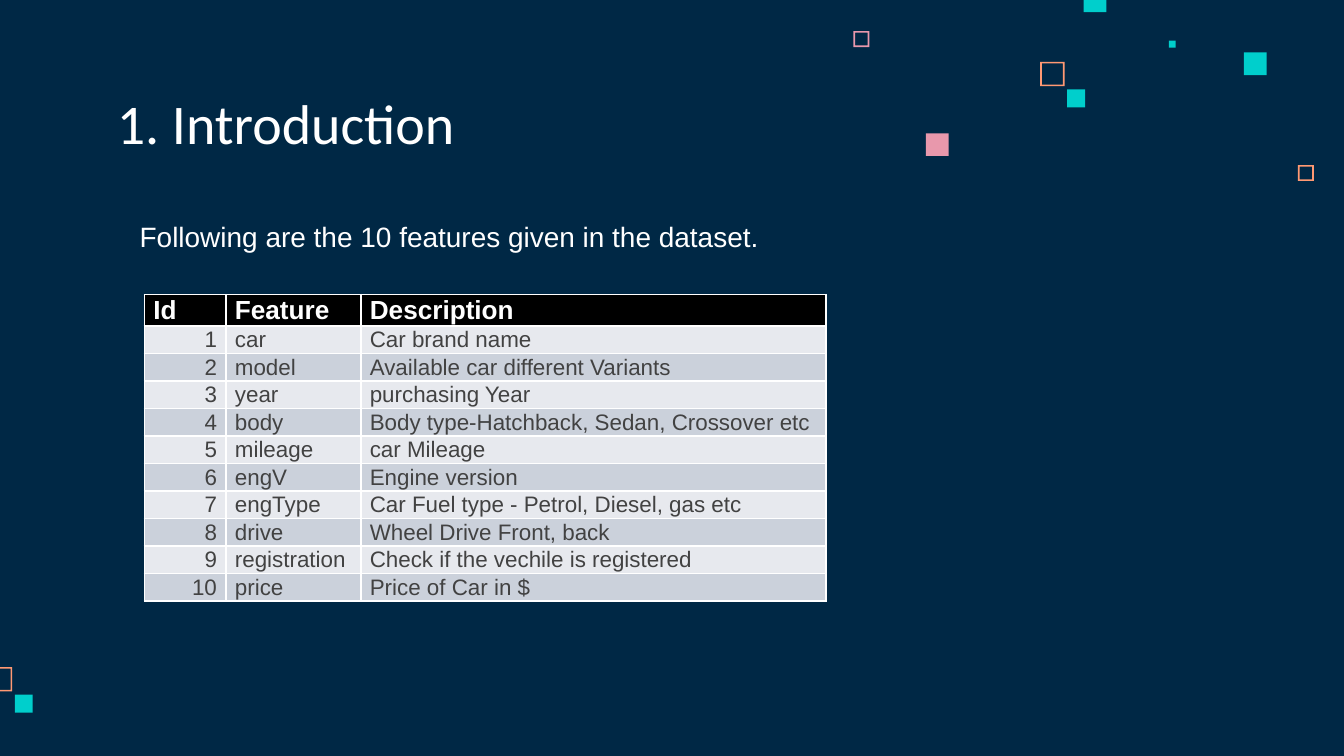
import dataclasses

import pptx
import pptx.dml.color
import pptx.enum.shapes
import pptx.enum.text
import pptx.oxml.ns
import pptx.util
from lxml import etree

Cm = pptx.util.Cm
ALIGN = pptx.enum.text.PP_ALIGN
ANCHOR = pptx.enum.text.MSO_ANCHOR


@dataclasses.dataclass(frozen=True)
class Theme:
    background: str = "002845"
    white: str = "FFFFFF"
    header: str = "000000"
    ink: str = "424242"
    bands: tuple = ("E7E9EE", "CBD1DB")
    teal: str = "00CFCC"
    pink: str = "E898AC"
    orange: str = "FF9973"
    title_font: str = "Calibri"
    body_font: str = "Arial"
    title_size: int = 30
    body_size: int = 15
    header_size: int = 14
    cell_size: int = 12
    border_width: int = 1


def rgb(color):
    return pptx.dml.color.RGBColor.from_string(color)


def paint(fill, color):
    fill.solid()
    fill.fore_color.rgb = rgb(color)


def write_text(tf, text, *, size, color, font, bold=False, align=ALIGN.LEFT):
    p = tf.paragraphs[0]
    p.alignment = align
    r = p.add_run()
    r.text = text
    r.font.size = pptx.util.Pt(size)
    r.font.name = font
    r.font.bold = bold
    r.font.color.rgb = rgb(color)


class SlideBuilder:
    def __init__(self, slide, theme):
        self.s = slide
        self.theme = theme
        paint(slide.background.fill, theme.background)

    def finish(self, sp, color):
        paint(sp.fill, color)
        sp.line.fill.background()
        sp.shadow.inherit = False

    def square(self, x, y, side, color):
        sp = self.s.shapes.add_shape(
            pptx.enum.shapes.MSO_SHAPE.RECTANGLE, Cm(x), Cm(y), Cm(side), Cm(side))
        self.finish(sp, color)

    def frame(self, x, y, side, color, thickness=0.03):
        def corners(inset):
            left, top = Cm(x + inset), Cm(y + inset)
            right, bottom = Cm(x + side - inset), Cm(y + side - inset)
            return [(left, top), (left, bottom), (right, bottom), (right, top)]

        outer, inner = corners(0), corners(thickness)[::-1]
        builder = self.s.shapes.build_freeform(*outer[0])
        builder.add_line_segments(outer[1:], close=True)
        builder.move_to(*inner[0])
        builder.add_line_segments(inner[1:], close=True)
        self.finish(builder.convert_to_shape(), color)

    def text(self, x, y, w, h, text, anchor, **style):
        sp = self.s.shapes.add_textbox(Cm(x), Cm(y), Cm(w), Cm(h))
        tf = sp.text_frame
        tf.word_wrap = True
        tf.vertical_anchor = anchor
        tf.margin_left = tf.margin_right = tf.margin_top = tf.margin_bottom = Cm(0.25)
        write_text(tf, text, color=self.theme.white, **style)

    def border(self, cell):
        tc_pr = cell._tc.get_or_add_tcPr()
        for side in ("lnL", "lnR", "lnT", "lnB"):
            ln = etree.SubElement(tc_pr, pptx.oxml.ns.qn(f"a:{side}"))
            ln.set("w", str(pptx.util.Pt(self.theme.border_width)))
            fill = etree.SubElement(ln, pptx.oxml.ns.qn("a:solidFill"))
            etree.SubElement(fill, pptx.oxml.ns.qn("a:srgbClr")).set("val", self.theme.white)

    def table(self, x, y, widths, header_height, row_height, rows):
        theme = self.theme
        heights = [header_height] + [row_height] * (len(rows) - 1)
        table = self.s.shapes.add_table(
            len(rows), len(widths), Cm(x), Cm(y), Cm(sum(widths)), Cm(sum(heights))).table
        for column, width in zip(table.columns, widths):
            column.width = Cm(width)
        for i, (row, height, values) in enumerate(zip(table.rows, heights, rows)):
            row.height = Cm(height)
            is_header = i == 0
            for j, (cell, value) in enumerate(zip(row.cells, values)):
                cell.margin_left = cell.margin_right = Cm(0.17)
                cell.margin_top = cell.margin_bottom = 0
                cell.vertical_anchor = ANCHOR.MIDDLE
                self.border(cell)
                paint(cell.fill, theme.header if is_header else theme.bands[(i - 1) % 2])
                write_text(
                    cell.text_frame, value,
                    size=theme.header_size if is_header else theme.cell_size,
                    color=theme.white if is_header else theme.ink,
                    font=theme.body_font, bold=is_header,
                    align=ALIGN.RIGHT if j == 0 and not is_header else ALIGN.LEFT)


FEATURES = [
    ("car", "Car brand name"),
    ("model", "Available car different Variants"),
    ("year", "purchasing Year"),
    ("body", "Body type-Hatchback, Sedan, Crossover etc"),
    ("mileage", "car Mileage"),
    ("engV", "Engine version"),
    ("engType", "Car Fuel type - Petrol, Diesel, gas etc"),
    ("drive", "Wheel Drive Front, back"),
    ("registration", "Check if the vechile is registered"),
    ("price", "Price of Car in $"),
]


def main():
    theme = Theme()
    prs = pptx.Presentation()
    prs.slide_width, prs.slide_height = Cm(25.4), Cm(14.29)
    s = SlideBuilder(prs.slides.add_slide(prs.slide_layouts[6]), theme)

    for x, y, side, color in [
        (24.53, 3.12, 0.3, theme.orange),
        (16.13, 0.59, 0.3, theme.pink),
        (19.66, 1.17, 0.46, theme.orange),
        (-0.23, 12.61, 0.46, theme.orange),
    ]:
        s.frame(x, y, side, color)

    for x, y, side, color in [
        (22.09, 0.77, 0.13, theme.teal),
        (20.48, -0.2, 0.43, theme.teal),
        (23.51, 0.99, 0.43, theme.teal),
        (20.17, 1.69, 0.34, theme.teal),
        (17.5, 2.52, 0.43, theme.pink),
        (0.28, 13.13, 0.34, theme.teal),
    ]:
        s.square(x, y, side, color)

    s.text(2.39, 3.48, 22.07, 1.96, "Following are the 10 features given in the dataset.",
           ANCHOR.MIDDLE, size=theme.body_size, font=theme.body_font)
    s.text(1.96, 1.07, 13.13, 2.13, "1. Introduction",
           ANCHOR.BOTTOM, size=theme.title_size, font=theme.title_font)

    rows = [("Id", "Feature", "Description")]
    rows += [(str(i), *feature) for i, feature in enumerate(FEATURES, 1)]
    s.table(2.73, 5.57, (1.54, 2.55, 8.79), 0.58, 0.52, rows)

    prs.save("out.pptx")


if __name__ == "__main__":
    main()
